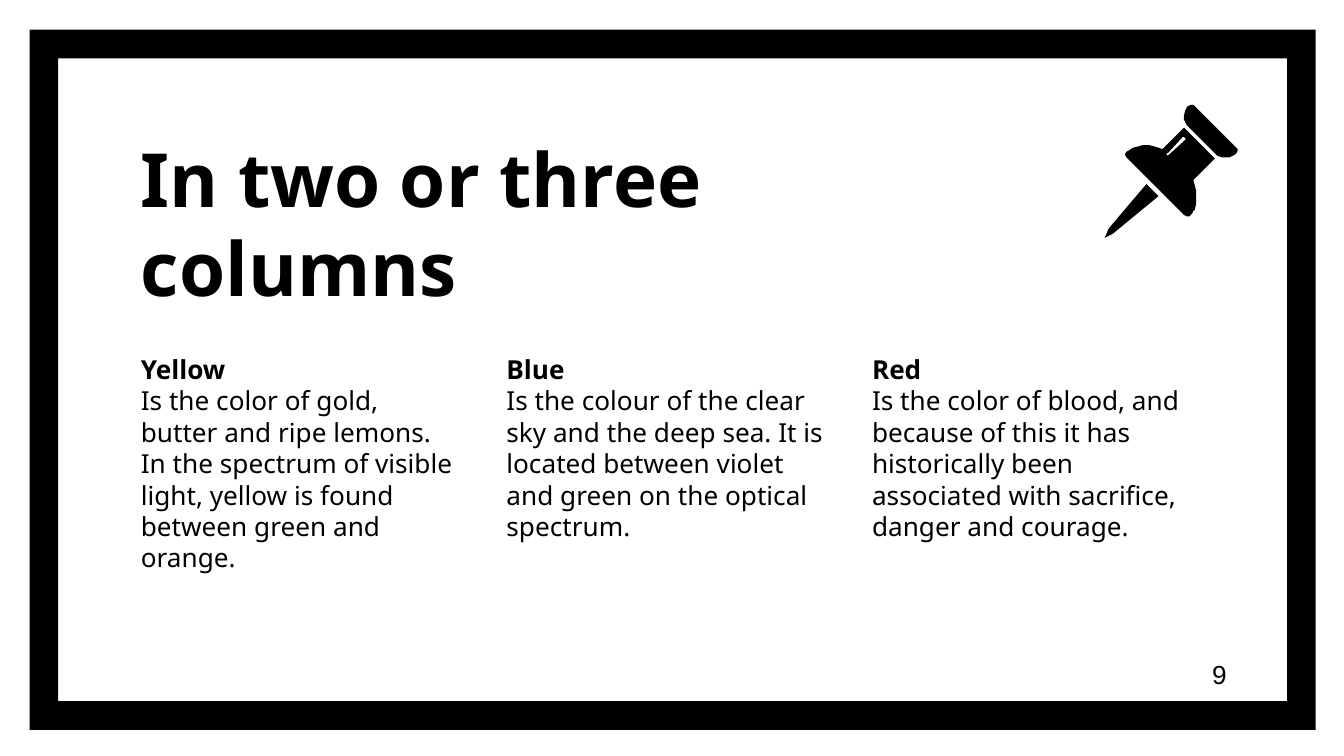
from pptx import Presentation
from pptx.dml.color import RGBColor
from pptx.enum.shapes import MSO_SHAPE
from pptx.enum.text import MSO_ANCHOR
from pptx.util import Inches, Pt

BLACK = RGBColor(0x00, 0x00, 0x00)
WHITE = RGBColor(0xFF, 0xFF, 0xFF)
FRAME = MSO_SHAPE.FRAME
TOP, MIDDLE, BOTTOM = MSO_ANCHOR.TOP, MSO_ANCHOR.MIDDLE, MSO_ANCHOR.BOTTOM
TEXT_FONT = "Noto Sans"
NUMBER_FONT = "Arial"
TEXT_INSET = Inches(0.1)

COLUMN_LEFT, COLUMN_TOP, COLUMN_STEP = 0.95, 2.53, 2.72
COLUMN_WIDTH, COLUMN_HEIGHT = 2.57, 2.23
COLUMNS = [
    ("Yellow", "Is the color of gold, butter and ripe lemons. In the spectrum of "
               "visible light, yellow is found between green and orange."),
    ("Blue", "Is the colour of the clear sky and the deep sea. It is located "
             "between violet and green on the optical spectrum."),
    ("Red", "Is the color of blood, and because of this it has historically been "
            "associated with sacrifice, danger and courage."),
]

# Pin outlines, in hundredths of an inch on the slide
PIN_UNIT = Inches(0.01)
PIN_NEEDLE = [(853, 137), (825, 170), (822, 177), (828, 174), (862, 146)]
PIN_HEAD = [
    (886, 78), (884, 79), (883, 80), (882, 82), (881, 86), (881, 89), (882, 91),
    (883, 93), (906, 116), (909, 117), (915, 117), (917, 116),
    (919, 115), (920, 114), (921, 112), (921, 111), (920, 110), (889, 79), (888, 78),
]
PIN_BODY = [
    (881, 95), (865, 111), (862, 110), (859, 109), (855, 108), (850, 108),
    (847, 109), (843, 110), (840, 112), (838, 113), (837, 115),
    (838, 117), (881, 160), (883, 161), (885, 161), (887, 159), (888, 157),
    (889, 156), (890, 152), (890, 142), (889, 138), (888, 134), (904, 118),
]
PIN_HIGHLIGHT = [
    (881, 102), (882, 103), (882, 104), (870, 115), (869, 116), (868, 115),
    (868, 114), (869, 114), (880, 102),
]


def paint_black(shape):
    shape.fill.solid()
    shape.fill.fore_color.rgb = BLACK
    shape.line.fill.background()
    shape.shadow.inherit = False


def add_frame(slide):
    frame = slide.shapes.add_shape(
        FRAME, Inches(0.22), Inches(0.22), Inches(9.57), Inches(5.21))
    frame.adjustments[0] = 0.041
    paint_black(frame)


def add_text(slide, box, lines, size, font_name=TEXT_FONT, anchor=TOP):
    """Add a text box; lines holds (text, bold) pairs, one per paragraph."""
    frame = slide.shapes.add_textbox(*map(Inches, box)).text_frame
    frame.word_wrap = True
    frame.vertical_anchor = anchor
    frame.margin_left = frame.margin_right = TEXT_INSET
    frame.margin_top = frame.margin_bottom = TEXT_INSET
    for index, (text, bold) in enumerate(lines):
        paragraph = frame.add_paragraph() if index else frame.paragraphs[0]
        paragraph.text = text
        paragraph.font.name = font_name
        paragraph.font.size = Pt(size)
        paragraph.font.bold = bold
        paragraph.font.color.rgb = BLACK


def add_outline(shapes, *contours):
    """Add one black freeform; contours after the first are holes."""
    first, *holes = contours
    builder = shapes.build_freeform(*first[0], scale=PIN_UNIT)
    builder.add_line_segments(first[1:], close=True)
    for hole in holes:
        builder.move_to(*hole[0])
        builder.add_line_segments(hole[1:], close=True)
    paint_black(builder.convert_to_shape())


def add_pin(slide):
    pin = slide.shapes.add_group_shape()
    add_outline(pin.shapes, PIN_NEEDLE)
    add_outline(pin.shapes, PIN_HEAD)
    add_outline(pin.shapes, PIN_BODY, PIN_HIGHLIGHT)


def main():
    presentation = Presentation()
    presentation.slide_width = Inches(10)
    presentation.slide_height = Inches(10) * 9 // 16
    slide = presentation.slides.add_slide(presentation.slide_layouts[6])
    slide.background.fill.solid()
    slide.background.fill.fore_color.rgb = WHITE

    add_frame(slide)
    add_text(slide, (COLUMN_LEFT, 0.93, 5.57, 1.49),
             [("In two or three columns", True)], 40, anchor=BOTTOM)
    for index, (heading, body) in enumerate(COLUMNS):
        left = COLUMN_LEFT + index * COLUMN_STEP
        add_text(slide, (left, COLUMN_TOP, COLUMN_WIDTH, COLUMN_HEIGHT),
                 [(heading, True), (body, False)], 14)
    add_pin(slide)
    add_text(slide, (8.92, 4.8, 0.6, 0.43), [("9", False)], 14,
             font_name=NUMBER_FONT, anchor=MIDDLE)
    presentation.save("out.pptx")


if __name__ == "__main__":
    main()
